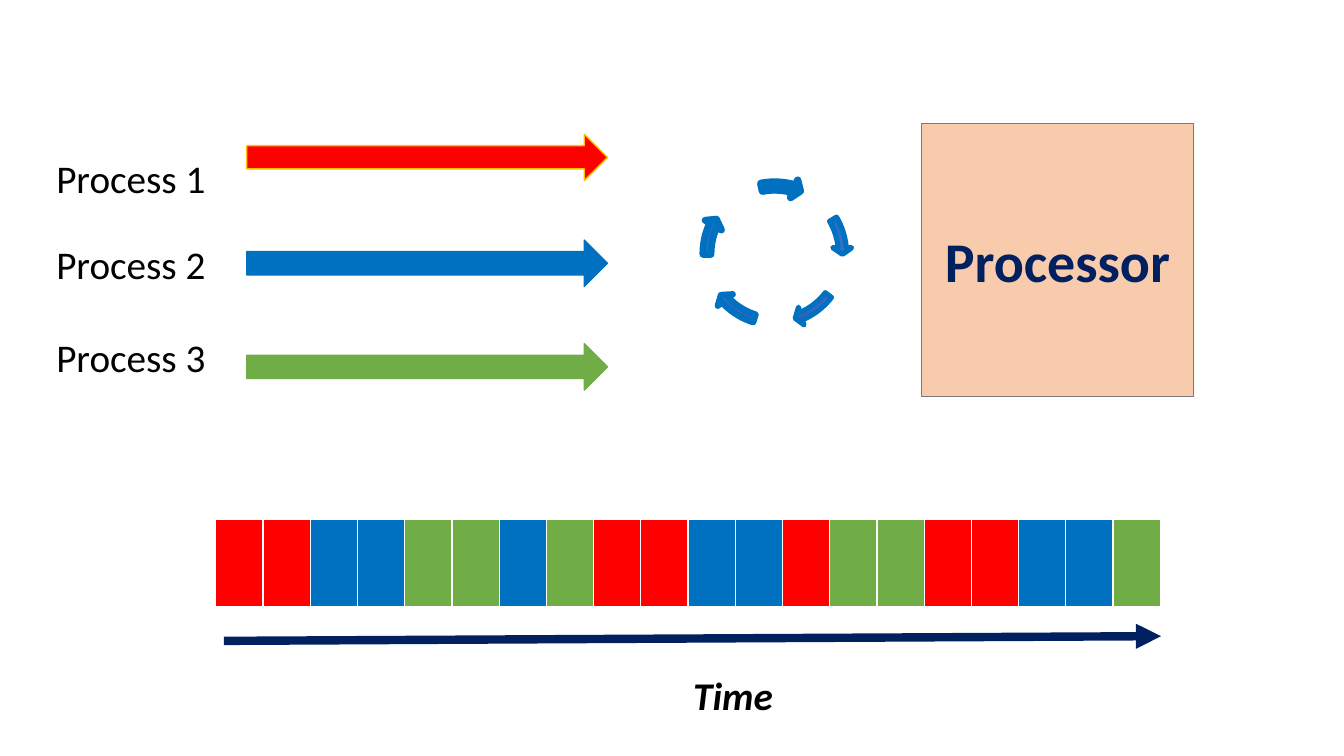
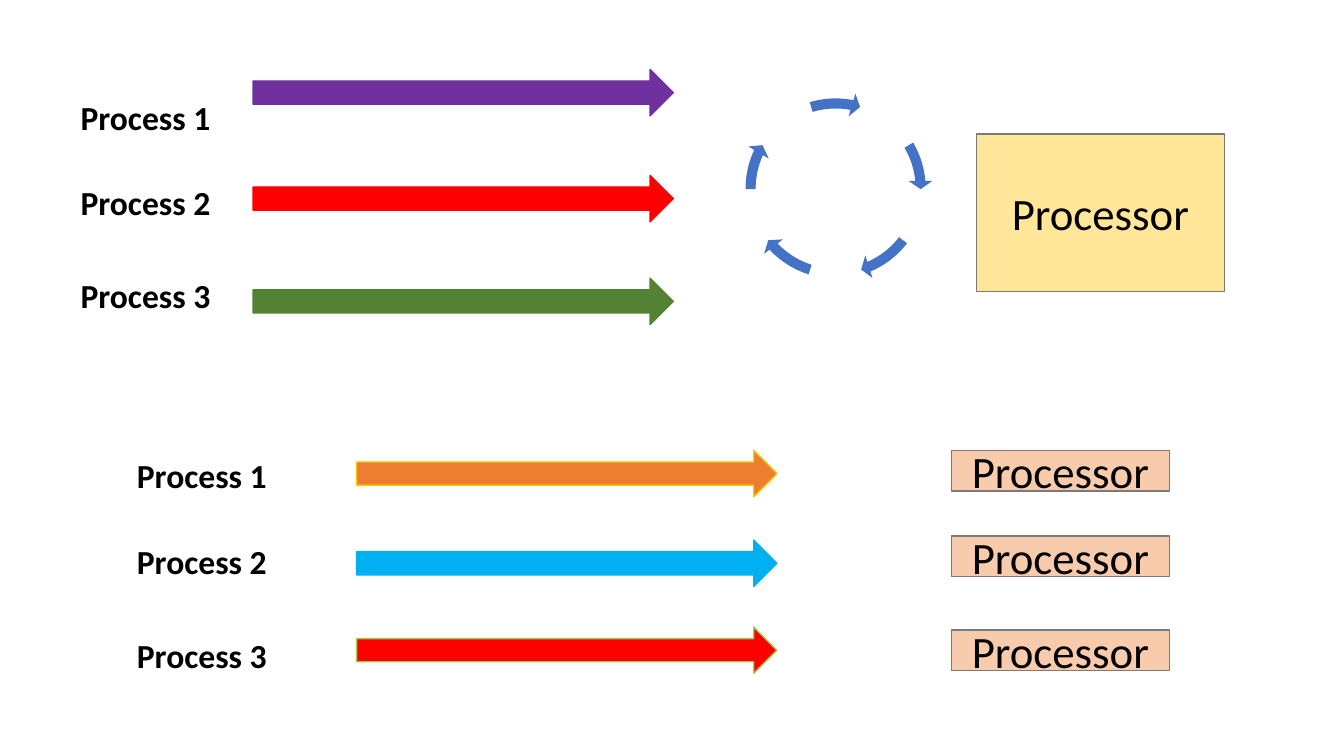
from copy import deepcopy
from dataclasses import dataclass
from typing import Optional

from lxml.etree import SubElement
from pptx import Presentation
from pptx.dml.color import RGBColor
from pptx.enum.shapes import MSO_CONNECTOR, MSO_SHAPE
from pptx.enum.text import MSO_ANCHOR, MSO_AUTO_SIZE, PP_ALIGN
from pptx.oxml.ns import qn
from pptx.util import Cm, Pt

FONT = "Calibri"
COLORS = {
    "black": "000000", "white": "FFFFFF", "navy": "002060", "grey": "7A7A7A",
    "red": "FF0000", "blue": "0070C0", "green": "70AD47", "gold": "FFC000",
    "purple": "7030A0", "forest": "548235", "orange": "ED7D31",
    "sky": "00B0F0", "lime": "92D050", "peach": "F8CBAD", "cream": "FFE699",
    "ring": "4472C4", "ring_mid": "3E70CA", "ring_end": "3062BB",
}
ARROW_H = 1.17


@dataclass
class Process:
    label_top: float
    arrow_top: float
    fill: str
    line: Optional[str] = None


@dataclass
class Lanes:
    label_left: float
    label_width: float
    arrow_left: float
    arrow_width: float
    size: int
    bold: bool
    processes: list[Process]


@dataclass
class Segment:
    start: float
    end: float
    line_width: float
    middle: float = 0.5
    rotation: float = 0


RING = [
    Segment(329.42, 354.91, 3.75),
    Segment(37.53, 66.94, 3.5),
    Segment(107.47, 136.88, 4.5),
    Segment(179.5, 205, 5),
    Segment(253.29, 281.12, 5.25, middle=1, rotation=5.5),
]
SHARED_LANES = Lanes(1.17, 5.49, 6.22, 9.09, 28, False, [
    Process(3.76, 3.38, "red", "gold"),
    Process(5.92, 6.05, "blue"),
    Process(8.28, 8.66, "green"),
])
CONCURRENT_LANES = Lanes(1.78, 4.62, 6.38, 10.59, 24, True, [
    Process(2.31, 1.75, "purple"),
    Process(4.45, 4.42, "red"),
    Process(6.81, 7.01, "forest"),
])
PARALLEL_LANES = Lanes(3.2, 4.29, 8.99, 10.59, 24, True, [
    Process(11.35, 11.35, "orange", "gold"),
    Process(13.51, 13.61, "sky"),
    Process(15.88, 15.8, "red", "lime"),
])
SLICE_COLORS = {"R": "red", "B": "blue", "G": "green"}
TIME_SLICES = "RRBBGGBGRRBBRGGRRBBG"


def rgb(name: str) -> RGBColor:
    return RGBColor.from_string(COLORS[name])


def write(tf, text: str, *, size: int, color: str = "black", bold: bool = False,
          italic: bool = False, align=None) -> None:
    p = tf.paragraphs[0]
    p.alignment = align
    r = p.add_run()
    r.text = text
    r.font.name, r.font.size = FONT, Pt(size)
    r.font.bold, r.font.italic = bold, italic
    r.font.color.rgb = rgb(color)


def add_label(slide, text: str, left: float, top: float, width: float,
              height: float, **fmt) -> None:
    tf = slide.shapes.add_textbox(Cm(left), Cm(top), Cm(width), Cm(height)).text_frame
    tf.word_wrap = True
    tf.auto_size = MSO_AUTO_SIZE.SHAPE_TO_FIT_TEXT
    write(tf, text, **fmt)


def add_block(shapes, kind, left: float, top: float, width: float, height: float,
              fill: str, line: Optional[str] = None, line_width: float = 1):
    sp = shapes.add_shape(kind, Cm(left), Cm(top), Cm(width), Cm(height))
    sp.shadow.inherit = False
    sp.fill.solid()
    sp.fill.fore_color.rgb = rgb(fill)
    if line:
        sp.line.color.rgb = rgb(line)
        sp.line.width = Pt(line_width)
    else:
        sp.line.fill.background()
    return sp


def add_processor(slide, left: float, top: float, width: float, height: float,
                  fill: str, **fmt) -> None:
    sp = add_block(slide.shapes, MSO_SHAPE.RECTANGLE, left, top, width, height,
                   fill, "grey")
    sp.text_frame.vertical_anchor = MSO_ANCHOR.MIDDLE
    write(sp.text_frame, "Processor", align=PP_ALIGN.CENTER, **fmt)


def add_lanes(slide, lanes: Lanes) -> None:
    for number, process in enumerate(lanes.processes, 1):
        add_block(slide.shapes, MSO_SHAPE.RIGHT_ARROW, lanes.arrow_left,
                  process.arrow_top, lanes.arrow_width, ARROW_H,
                  process.fill, process.line or process.fill)
        add_label(slide, f"Process {number}", lanes.label_left, process.label_top,
                  lanes.label_width, 1.27, size=lanes.size, bold=lanes.bold)


def shade(sp, middle: float) -> None:
    """Fill with a three-stop gradient running downwards."""
    sp.fill.gradient()
    sp.fill.gradient_angle = 270
    stop_list = sp.fill._xPr.find(".//" + qn("a:gsLst"))
    stop_list.insert(1, deepcopy(stop_list[0]))
    stops = zip(sp.fill.gradient_stops, (0, middle, 1), ("blue", "ring_mid", "ring_end"))
    for stop, position, color in stops:
        stop.position = position
        stop.color.rgb = rgb(color)


def add_ring(slide, left: float, top: float, size: float, outlined: bool) -> None:
    group = slide.shapes.add_group_shape()
    for seg in RING:
        sp = add_block(group.shapes, MSO_SHAPE.CIRCULAR_ARROW, left, top, size, size,
                       "ring", "blue" if outlined else None, seg.line_width)
        # One degree is 60000 units, and an adjustment of 1 is 100000
        values = (0.052, 5.59 * 0.6, seg.end * 0.6, seg.start * 0.6, 0.061)
        for i, value in enumerate(values):
            sp.adjustments[i] = value
        if outlined:
            sp.rotation = seg.rotation
            shade(sp, seg.middle)


def add_border(cell, side: str, width: float) -> None:
    ln = SubElement(cell._tc.get_or_add_tcPr(), qn(f"a:ln{side}"), w=str(Pt(width)))
    fill = SubElement(ln, qn("a:solidFill"))
    SubElement(fill, qn("a:srgbClr"), val=COLORS["white"])


def add_timeline(slide, left: float, top: float, slot: float, height: float) -> None:
    count = len(TIME_SLICES)
    table = slide.shapes.add_table(1, count, Cm(left), Cm(top), Cm(slot * count),
                                   Cm(height)).table
    for i, key in enumerate(TIME_SLICES):
        table.columns[i].width = Cm(slot)
        cell = table.cell(0, i)
        for side, width in (("L", 1), ("R", 1), ("T", 1), ("B", 3)):
            add_border(cell, side, width)
        cell.fill.solid()
        cell.fill.fore_color.rgb = rgb(SLICE_COLORS[key])


def add_time_arrow(slide, x1: float, y1: float, x2: float, y2: float) -> None:
    s = slide.shapes.add_connector(MSO_CONNECTOR.STRAIGHT, Cm(x1), Cm(y1), Cm(x2), Cm(y2))
    s.line.color.rgb = rgb("navy")
    s.line.width = Pt(6)
    SubElement(s.line._get_or_add_ln(), qn("a:tailEnd"), type="triangle")
    SubElement(s._element.spPr, qn("a:effectLst"))


def build_time_sharing(slide) -> None:
    add_lanes(slide, SHARED_LANES)
    add_processor(slide, 23.22, 3.12, 6.86, 6.88, "peach", size=40, color="navy", bold=True)
    add_timeline(slide, 5.44, 13.08, 1.19, 2.24)
    add_time_arrow(slide, 5.64, 16.15, 29.26, 16.03)
    add_label(slide, "Time", 17.22, 16.79, 3.66, 1.45, size=28, bold=True, italic=True)
    add_ring(slide, 17.58, 4.45, 3.89, outlined=True)


def build_comparison(slide) -> None:
    # One processor takes turns
    add_lanes(slide, CONCURRENT_LANES)
    add_processor(slide, 24.61, 3.38, 6.25, 3.96, "cream", size=32)
    add_ring(slide, 18.62, 2.31, 4.88, outlined=False)
    # One processor for each process
    add_lanes(slide, PARALLEL_LANES)
    for process in PARALLEL_LANES.processes:
        add_processor(slide, 23.98, process.label_top, 5.49, 1.02, "peach", size=32)


def main() -> None:
    prs = Presentation()
    prs.slide_width, prs.slide_height = Cm(33.87), Cm(19.05)
    for build in (build_time_sharing, build_comparison):
        build(prs.slides.add_slide(prs.slide_layouts[6]))
    prs.save("out.pptx")


if __name__ == "__main__":
    main()
